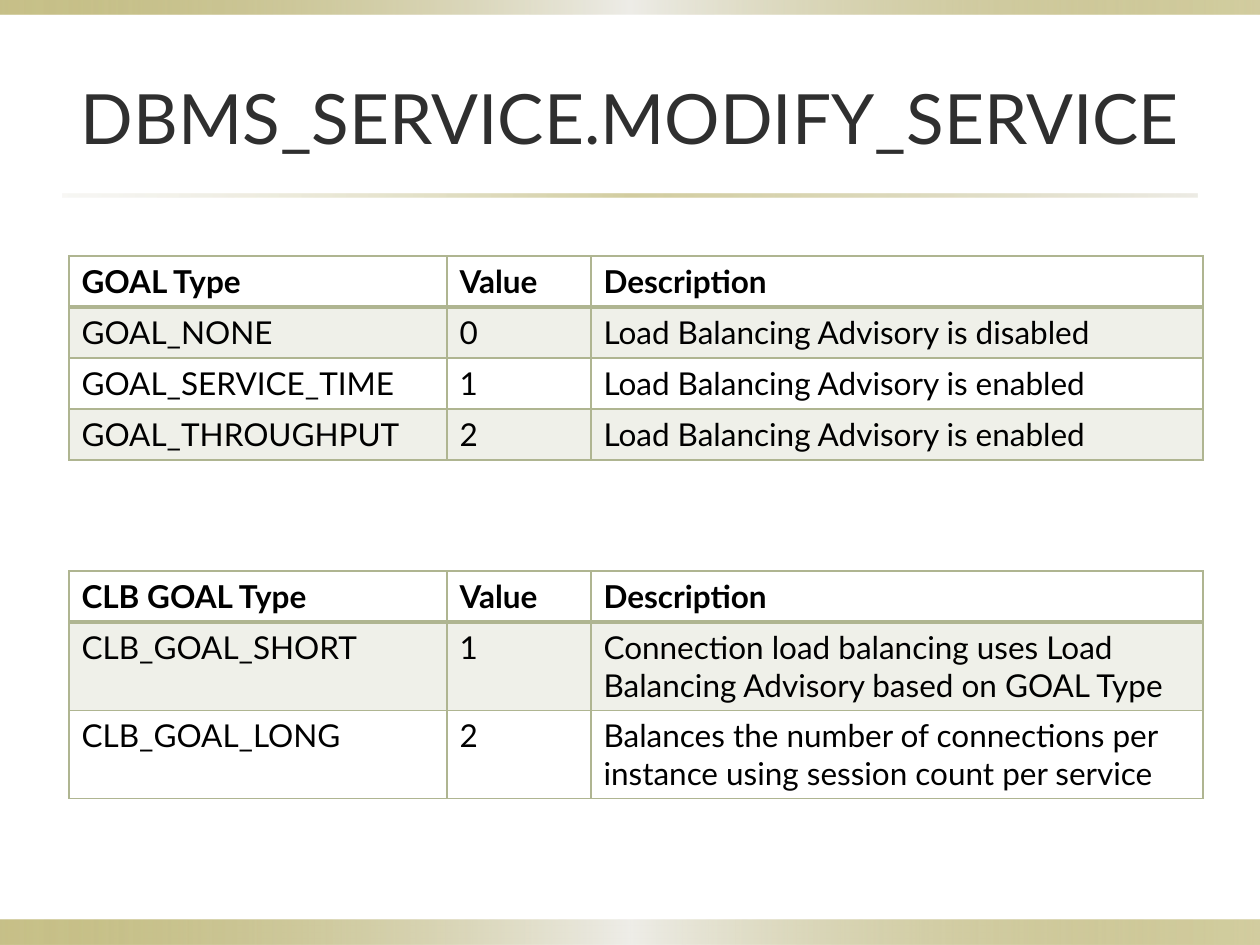
"""Build a slide with two tables of DBMS_SERVICE.MODIFY_SERVICE goal values."""
from lxml.etree import SubElement
from pptx import Presentation
from pptx.dml.color import RGBColor
from pptx.enum.shapes import MSO_SHAPE as SHAPE
from pptx.enum.text import MSO_ANCHOR as ANCHOR, PP_ALIGN as ALIGN
from pptx.oxml.ns import qn
from pptx.util import Pt

TITLE = "DBMS_SERVICE.MODIFY_SERVICE"
TABLES = [
    {"top": 256, "heights": [51, 51, 51, 51], "rows": [
        ("GOAL Type", "Value", "Description"),
        ("GOAL_NONE", "0", "Load Balancing Advisory is disabled"),
        ("GOAL_SERVICE_TIME", "1", "Load Balancing Advisory is enabled"),
        ("GOAL_THROUGHPUT", "2", "Load Balancing Advisory is enabled"),
    ]},
    {"top": 571, "heights": [51, 88, 88], "rows": [
        ("CLB GOAL Type", "Value", "Description"),
        ("CLB_GOAL_SHORT", "1",
         "Connection load balancing uses Load Balancing Advisory based on GOAL Type"),
        ("CLB_GOAL_LONG", "2",
         "Balances the number of connections per instance using session count per service"),
    ]},
]
COLORS = {"title": "2F2F2F", "text": "000000", "sage": "AFB591",
          "olive": "918415", "pale": "EEEDE8", "sand": "DCD9CC"}
BAND_STOPS = [(0, "olive", 50), (50, "pale", 100), (100, "olive", 40)]
RULE_STOPS = [(0, "sand", 20), (50, "olive", 40), (100, "sand", 50)]
BARS = [
    ((0, 920, 1260, 25), BAND_STOPS),
    ((0, 0, 1260, 15), BAND_STOPS),
    ((63, 194, 1134, 3), RULE_STOPS),
]
TITLE_BOX = (63, 38, 1134, 157)
TABLE_LEFT, COLUMNS = 69, [378, 144, 612]
FONT = "Lato"
TITLE_FORMAT = {"name": FONT, "size": Pt(39.6), "bold": False}
CELL_FORMAT = {"name": FONT, "size": Pt(18)}
SCALE = 914400 / 126


def px(n):
    return round(n * SCALE)


def write(tf, text, color, formats):
    r = tf.paragraphs[0].add_run()
    r.text = text
    for key, value in formats.items():
        setattr(r.font, key, value)
    r.font.color.rgb = RGBColor.from_string(COLORS[color])


def add_color(parent, color, alpha=100):
    clr = SubElement(parent, qn("a:srgbClr"), val=COLORS[color])
    if alpha < 100:
        SubElement(clr, qn("a:alpha"), val=str(alpha * 1000))


def add_bar(s, box, stops):
    sp = s.shapes.add_shape(SHAPE.RECTANGLE, *map(px, box))
    sp.shadow.inherit = False
    sp.line.fill.background()
    sp.fill.gradient()
    sp.fill.gradient_angle = 0
    gs_list = sp.element.spPr.find(qn("a:gradFill")).find(qn("a:gsLst"))
    gs_list.clear()
    for pos, color, alpha in stops:
        add_color(SubElement(gs_list, qn("a:gs"), pos=str(pos * 1000)), color, alpha)


def style_cell(cell, row):
    tc_pr = cell._tc.get_or_add_tcPr()
    widths = {"L": 1, "R": 1, "T": 2 if row == 1 else 1, "B": 2 if row == 0 else 1}
    for side, width in widths.items():
        ln = SubElement(tc_pr, qn(f"a:ln{side}"), w=str(Pt(width)))
        add_color(SubElement(ln, qn("a:solidFill")), "sage")
    if row % 2:
        add_color(SubElement(tc_pr, qn("a:solidFill")), "sage", 20)
    else:
        cell.fill.background()


def add_goal_table(s, top, heights, rows):
    frame = s.shapes.add_table(len(rows), len(COLUMNS), px(TABLE_LEFT), px(top),
                               px(sum(COLUMNS)), px(sum(heights)))
    table = frame.table
    table.horz_banding = False
    for column, width in zip(table.columns, COLUMNS):
        column.width = px(width)
    for i, (texts, height) in enumerate(zip(rows, heights)):
        table.rows[i].height = px(height)
        for j, text in enumerate(texts):
            cell = table.cell(i, j)
            style_cell(cell, i)
            write(cell.text_frame, text, "text", {**CELL_FORMAT, "bold": i == 0})


def main():
    prs = Presentation()
    prs.slide_width, prs.slide_height = px(1260), px(945)
    s = prs.slides.add_slide(prs.slide_layouts[6])
    for box, stops in BARS:
        add_bar(s, box, stops)
    tf = s.shapes.add_textbox(*map(px, TITLE_BOX)).text_frame
    tf.word_wrap = True
    tf.vertical_anchor = ANCHOR.MIDDLE
    tf.paragraphs[0].alignment = ALIGN.CENTER
    write(tf, TITLE, "title", TITLE_FORMAT)
    for goal_table in TABLES:
        add_goal_table(s, **goal_table)
    prs.save("out.pptx")


if __name__ == "__main__":
    main()
